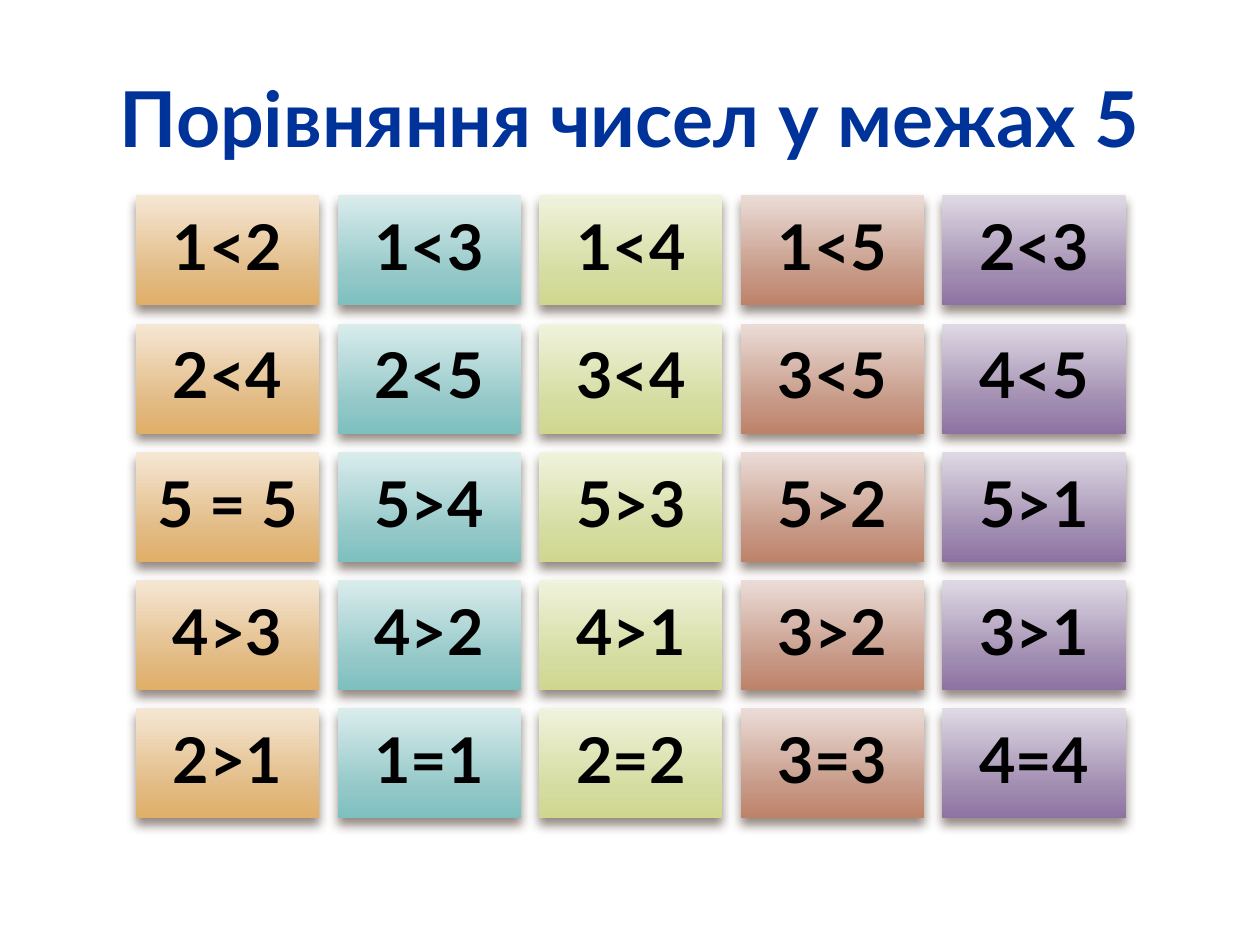
"""Build a slide with a coloured grid of number comparisons up to 5."""
from copy import deepcopy

from pptx import Presentation
from pptx.dml.color import RGBColor
from pptx.enum.shapes import MSO_SHAPE
from pptx.enum.text import MSO_ANCHOR, PP_ALIGN
from pptx.oxml import parse_xml
from pptx.oxml.ns import nsdecls, qn
from pptx.util import Pt

TITLE = "Порівняння чисел у межах 5"
COMPARISONS = [
    ["1<2", "1<3", "1<4", "1<5", "2<3"],
    ["2<4", "2<5", "3<4", "3<5", "4<5"],
    ["5 = 5", "5>4", "5>3", "5>2", "5>1"],
    ["4>3", "4>2", "4>1", "3>2", "3>1"],
    ["2>1", "1=1", "2=2", "3=3", "4=4"],
]

BLUE = RGBColor(0x00, 0x33, 0x9A)
BLACK = RGBColor(0x00, 0x00, 0x00)
ORANGE = [RGBColor(0xF5, 0xE7, 0xD4), RGBColor(0xE2, 0xBA, 0x83), RGBColor(0xE0, 0xAF, 0x68)]
TEAL = [RGBColor(0xDA, 0xEC, 0xEC), RGBColor(0x94, 0xC8, 0xC8), RGBColor(0x7D, 0xC0, 0xC0)]
LIME = [RGBColor(0xF0, 0xF3, 0xDD), RGBColor(0xD5, 0xDC, 0xA0), RGBColor(0xCF, 0xD7, 0x8E)]
BROWN = [RGBColor(0xEB, 0xDC, 0xD7), RGBColor(0xC6, 0x98, 0x85), RGBColor(0xBE, 0x82, 0x68)]
PURPLE = [RGBColor(0xDF, 0xD9, 0xE4), RGBColor(0xA0, 0x8C, 0xB0), RGBColor(0x8E, 0x72, 0xA3)]
COLUMN_COLORS = [ORANGE, TEAL, LIME, BROWN, PURPLE]
STOPS = [0, 0.72, 1]

LEFT, TOP = 77.7, 111.6
TILE_W, TILE_H, GAP = 104.73, 62.84, 10.47
INSET = 10.8

TITLE_FONT = {"name": "Lato", "size": Pt(44), "bold": True}
TILE_FONT = {"name": "Lato", "size": Pt(36), "bold": True}
TILE_PARAGRAPH = {"alignment": PP_ALIGN.CENTER, "line_spacing": 0.9, "space_after": Pt(12.6)}
TILE_FRAME = {
    "word_wrap": True,
    "vertical_anchor": MSO_ANCHOR.MIDDLE,
    **{f"margin_{side}": Pt(INSET) for side in ("left", "top", "right", "bottom")},
}

SHADOW = (
    f'<a:outerShdw {nsdecls("a")} blurRad="{Pt(6)}" dist="{Pt(4)}" dir="5400000" rotWithShape="0">'
    '<a:srgbClr val="4E3B30"><a:alpha val="60000"/></a:srgbClr></a:outerShdw>'
)
OUTLINE = (
    f'<a:ln {nsdecls("a")} w="{Pt(0.15)}"><a:solidFill>'
    '<a:srgbClr val="F2F2F2"/></a:solidFill></a:ln>'
)


def apply(target, values):
    for name, value in values.items():
        setattr(target, name, value)


def write(tf, text, font, color):
    p = tf.paragraphs[0]
    p.alignment = PP_ALIGN.CENTER
    r = p.add_run()
    r.text = text
    apply(r.font, font)
    r.font.color.rgb = color
    return p


def add_title(slide):
    s = slide.shapes.title
    apply(s, {"left": Pt(36), "top": Pt(21.6), "width": Pt(648), "height": Pt(90)})
    tf = s.text_frame
    tf.vertical_anchor = MSO_ANCHOR.MIDDLE
    p = write(tf, TITLE, TITLE_FONT, BLUE)
    p.runs[0].font._element.insert(0, parse_xml(OUTLINE))


def paint(s, colors):
    s.fill.gradient()
    s.fill.gradient_angle = 270
    stop_list = s._element.spPr.find(qn("a:gradFill")).find(qn("a:gsLst"))
    stop_list.append(deepcopy(stop_list[-1]))
    for stop, position, color in zip(s.fill.gradient_stops, STOPS, colors):
        stop.position = position
        stop.color.rgb = color
    s.line.fill.background()
    s.shadow.inherit = False
    s._element.spPr.find(qn("a:effectLst")).append(parse_xml(SHADOW))


def add_tile(slide, row, col, text):
    x = LEFT + col * (TILE_W + GAP)
    y = TOP + row * (TILE_H + GAP)
    s = slide.shapes.add_shape(MSO_SHAPE.RECTANGLE, Pt(x), Pt(y), Pt(TILE_W), Pt(TILE_H))
    paint(s, COLUMN_COLORS[col])
    apply(s.text_frame, TILE_FRAME)
    p = write(s.text_frame, text, TILE_FONT, BLACK)
    apply(p, TILE_PARAGRAPH)


def main():
    prs = Presentation()
    prs.slide_width, prs.slide_height = Pt(720), Pt(540)
    slide = prs.slides.add_slide(prs.slide_layouts[5])
    add_title(slide)
    for row, texts in enumerate(COMPARISONS):
        for col, text in enumerate(texts):
            add_tile(slide, row, col, text)
    prs.save("out.pptx")


if __name__ == "__main__":
    main()
